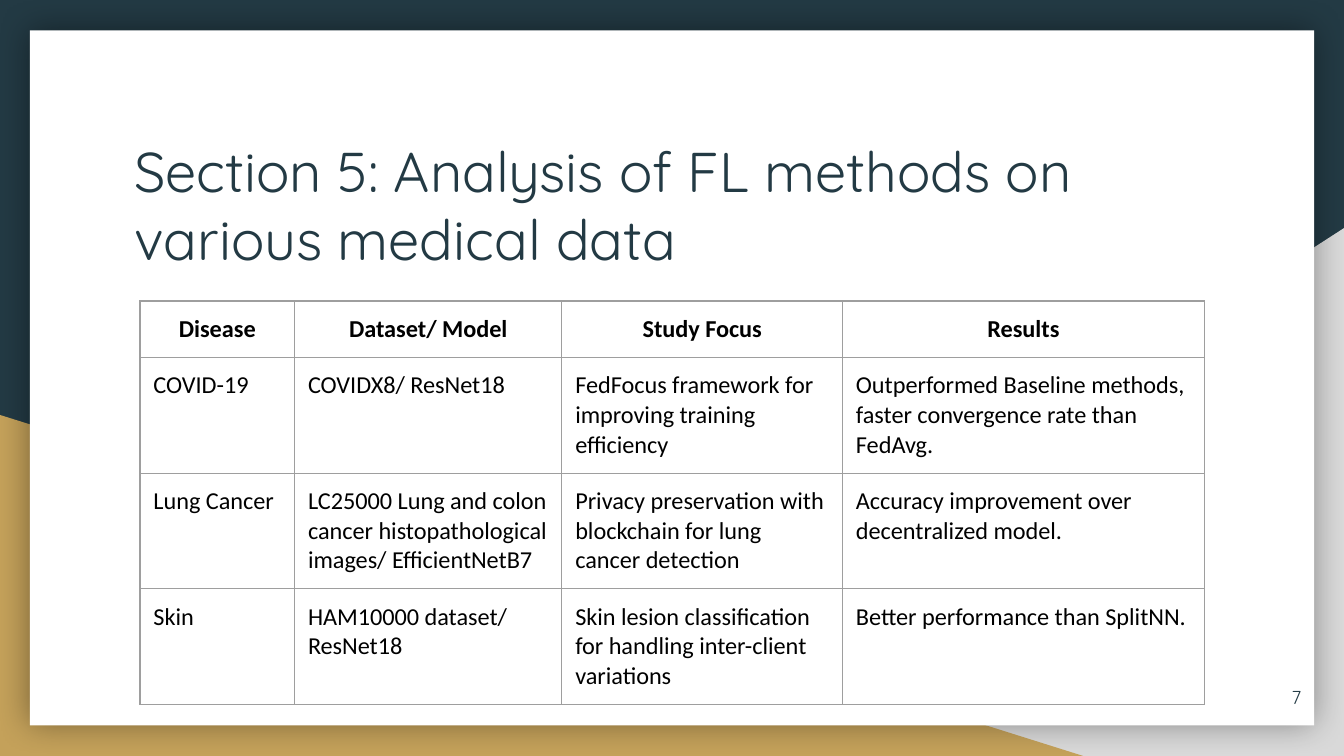
"""Build a slide with a table of federated learning studies on medical data."""
import dataclasses

import lxml.etree
import pptx
import pptx.dml.color
import pptx.enum.shapes
import pptx.enum.text
import pptx.oxml.ns
import pptx.shapes.autoshape
import pptx.slide
import pptx.table
import pptx.text.text
import pptx.util

Pt = pptx.util.Pt
Align = pptx.enum.text.PP_ALIGN
Anchor = pptx.enum.text.MSO_ANCHOR
Shapes = pptx.enum.shapes.MSO_SHAPE

COLORS = {
    "navy": "233A44",
    "gray": "D9D9D9",
    "gold": "C4A15A",
    "white": "FFFFFF",
    "black": "000000",
    "border": "9E9E9E",
}
INSET = 7.2
BORDER_WIDTH = 0.75
COLUMN_WIDTHS = (82.8, 143.2, 150.4, 193.8)
ROW_HEIGHTS = (30.2, 62, 62, 62)


@dataclasses.dataclass(frozen=True)
class Box:
    left: float
    top: float
    width: float
    height: float

    def lengths(self) -> tuple:
        return Pt(self.left), Pt(self.top), Pt(self.width), Pt(self.height)


@dataclasses.dataclass(frozen=True)
class Panel:
    kind: pptx.enum.shapes.MSO_SHAPE
    box: Box
    color: str
    flipped: bool = False
    shadowed: bool = False


@dataclasses.dataclass(frozen=True)
class Study:
    disease: str
    dataset: str
    focus: str
    results: str


PANELS = (
    Panel(Shapes.RIGHT_TRIANGLE, Box(282.2, 122.2, 437.8, 282.8), "gray", flipped=True),
    Panel(Shapes.RIGHT_TRIANGLE, Box(0, 222.3, 580.3, 182.7), "gold"),
    Panel(Shapes.RECTANGLE, Box(16, 16.2, 688, 372.4), "white", shadowed=True),
)
ROWS = (
    Study("Disease", "Dataset/ Model", "Study Focus", "Results"),
    Study(
        "COVID-19",
        "COVIDX8/ ResNet18",
        "FedFocus framework for improving training efficiency",
        "Outperformed Baseline methods, faster convergence rate than FedAvg.",
    ),
    Study(
        "Lung Cancer",
        "LC25000 Lung and colon cancer histopathological images/ EfficientNetB7",
        "Privacy preservation with blockchain for lung cancer detection",
        "Accuracy improvement over decentralized model.",
    ),
    Study(
        "Skin",
        "HAM10000 dataset/ ResNet18",
        "Skin lesion classification for handling inter-client variations",
        "Better performance than SplitNN.",
    ),
)


def rgb(name: str) -> pptx.dml.color.RGBColor:
    return pptx.dml.color.RGBColor.from_string(COLORS[name])


def add_element(parent: lxml.etree._Element, tag: str, **attributes: object) -> lxml.etree._Element:
    values = {key: str(value) for key, value in attributes.items()}
    return lxml.etree.SubElement(parent, pptx.oxml.ns.qn(tag), values)


def add_color(parent: lxml.etree._Element, name: str) -> lxml.etree._Element:
    return add_element(parent, "a:srgbClr", val=COLORS[name])


def add_panel(slide: pptx.slide.Slide, panel: Panel) -> None:
    shape = slide.shapes.add_shape(panel.kind, *panel.box.lengths())
    shape.shadow.inherit = False
    shape.fill.solid()
    shape.fill.fore_color.rgb = rgb(panel.color)
    shape.line.fill.background()
    properties = shape._element.spPr
    if panel.flipped:
        properties.find(pptx.oxml.ns.qn("a:xfrm")).set("flipH", "1")
    if panel.shadowed:
        effects = properties.find(pptx.oxml.ns.qn("a:effectLst"))
        shadow = add_element(effects, "a:outerShdw", blurRad=int(Pt(18)), dist=0, dir=0, algn="ctr", rotWithShape=0)
        add_element(add_color(shadow, "black"), "a:alpha", val=40000)


def write_text(
    frame: pptx.text.text.TextFrame,
    text: str,
    font_name: str,
    size: float,
    color: str,
    alignment: pptx.enum.text.PP_ALIGN = Align.LEFT,
    bold: bool = False,
) -> None:
    frame.text = text
    paragraph = frame.paragraphs[0]
    paragraph.alignment = alignment
    font = paragraph.font
    font.name, font.size, font.bold = font_name, Pt(size), bold
    font.color.rgb = rgb(color)


def format_frame(frame: pptx.text.text.TextFrame, anchor: pptx.enum.text.MSO_ANCHOR) -> None:
    frame.word_wrap = True
    frame.auto_size = pptx.enum.text.MSO_AUTO_SIZE.NONE
    frame.vertical_anchor = anchor
    frame.margin_left = frame.margin_right = frame.margin_top = frame.margin_bottom = Pt(INSET)


def add_title(slide: pptx.slide.Slide, text: str, box: Box) -> None:
    title = slide.shapes.title
    title.left, title.top, title.width, title.height = box.lengths()
    format_frame(title.text_frame, Anchor.TOP)
    write_text(title.text_frame, text, "Quicksand", 30, "navy")
    slide.shapes._spTree.append(title._element)


def add_slide_number(slide: pptx.slide.Slide, text: str, box: Box) -> None:
    frame = slide.shapes.add_textbox(*box.lengths()).text_frame
    format_frame(frame, Anchor.MIDDLE)
    write_text(frame, text, "Quicksand", 10, "navy", Align.RIGHT)


def format_cell(cell: pptx.table._Cell, text: str, is_header: bool) -> None:
    cell.margin_left = cell.margin_right = cell.margin_top = cell.margin_bottom = Pt(INSET)
    alignment = Align.CENTER if is_header else Align.LEFT
    write_text(cell.text_frame, text, "Calibri", 13, "black", alignment, is_header)
    properties = cell._tc.get_or_add_tcPr()
    for side in ("a:lnL", "a:lnR", "a:lnT", "a:lnB"):
        line = add_element(properties, side, w=int(Pt(BORDER_WIDTH)))
        add_color(add_element(line, "a:solidFill"), "border")
    cell.fill.background()


def add_study_table(slide: pptx.slide.Slide, left: float, top: float) -> None:
    box = Box(left, top, sum(COLUMN_WIDTHS), sum(ROW_HEIGHTS))
    table = slide.shapes.add_table(len(ROWS), len(COLUMN_WIDTHS), *box.lengths()).table
    table.first_row = table.horz_banding = False
    for column, width in zip(table.columns, COLUMN_WIDTHS):
        column.width = Pt(width)
    for index, (row, height, study) in enumerate(zip(table.rows, ROW_HEIGHTS, ROWS)):
        row.height = Pt(height)
        for cell, text in zip(row.cells, dataclasses.astuple(study)):
            format_cell(cell, text, index == 0)


def main() -> None:
    presentation = pptx.Presentation()
    presentation.slide_width, presentation.slide_height = Pt(720), Pt(405)
    slide = presentation.slides.add_slide(presentation.slide_layouts.get_by_name("Title Only"))
    slide.background.fill.solid()
    slide.background.fill.fore_color.rgb = rgb("navy")
    for panel in PANELS:
        add_panel(slide, panel)
    add_title(slide, "Section 5: Analysis of FL methods on various medical data", Box(64.8, 66.2, 591.2, 55.4))
    add_slide_number(slide, "7", Box(661, 357.8, 43.2, 31))
    add_study_table(slide, 75, 161.2)
    presentation.save("out.pptx")


if __name__ == "__main__":
    main()
